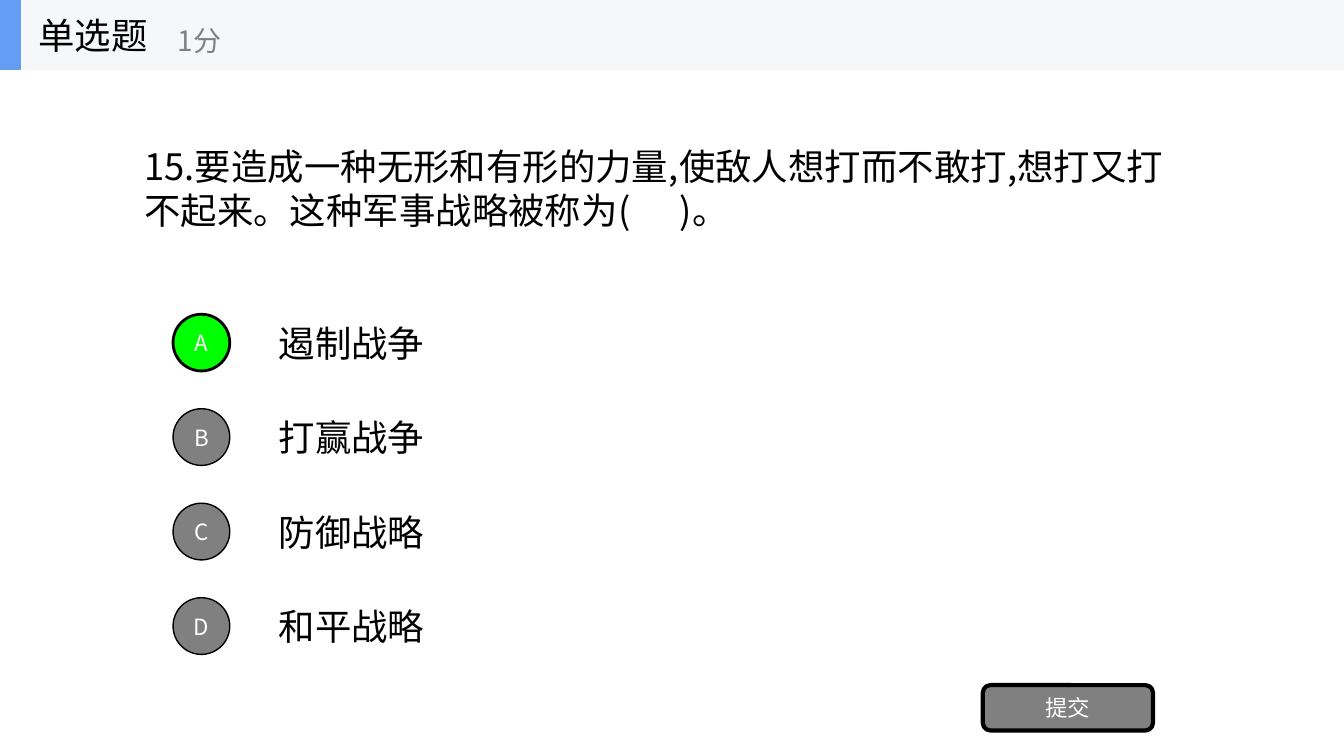
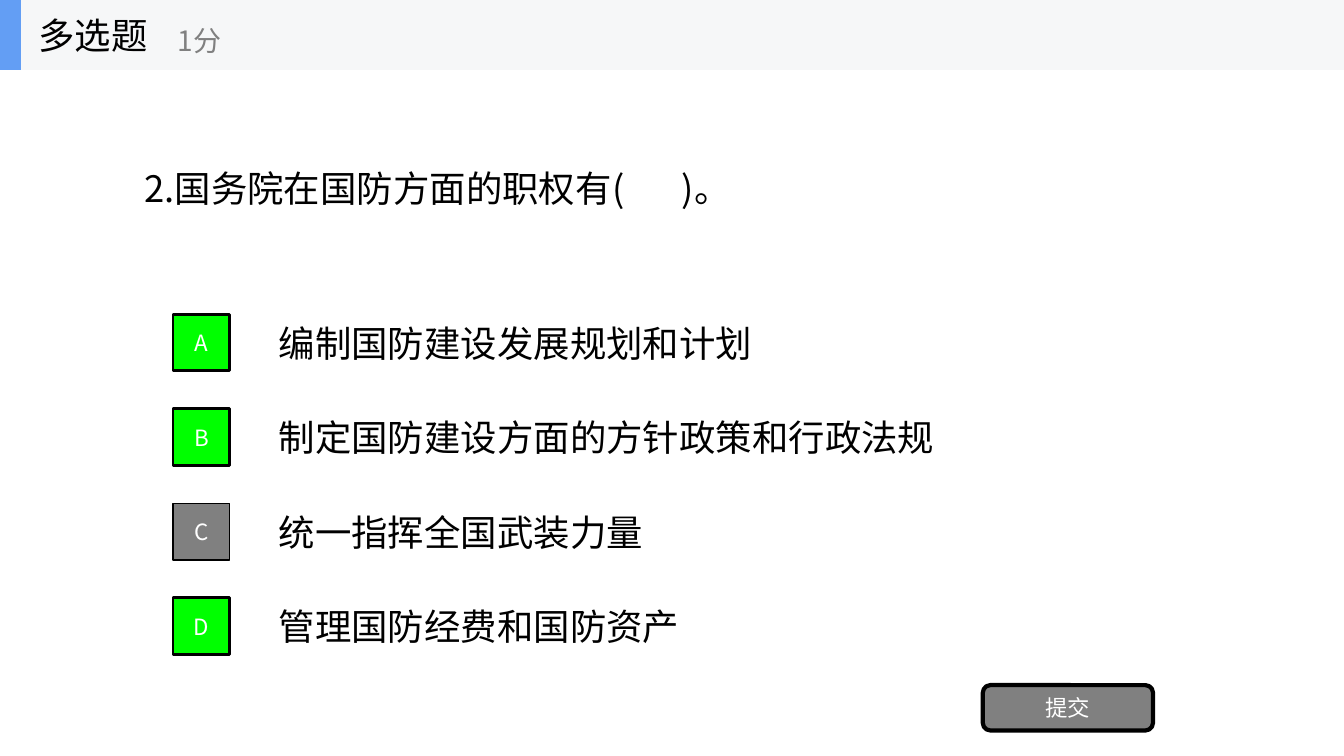
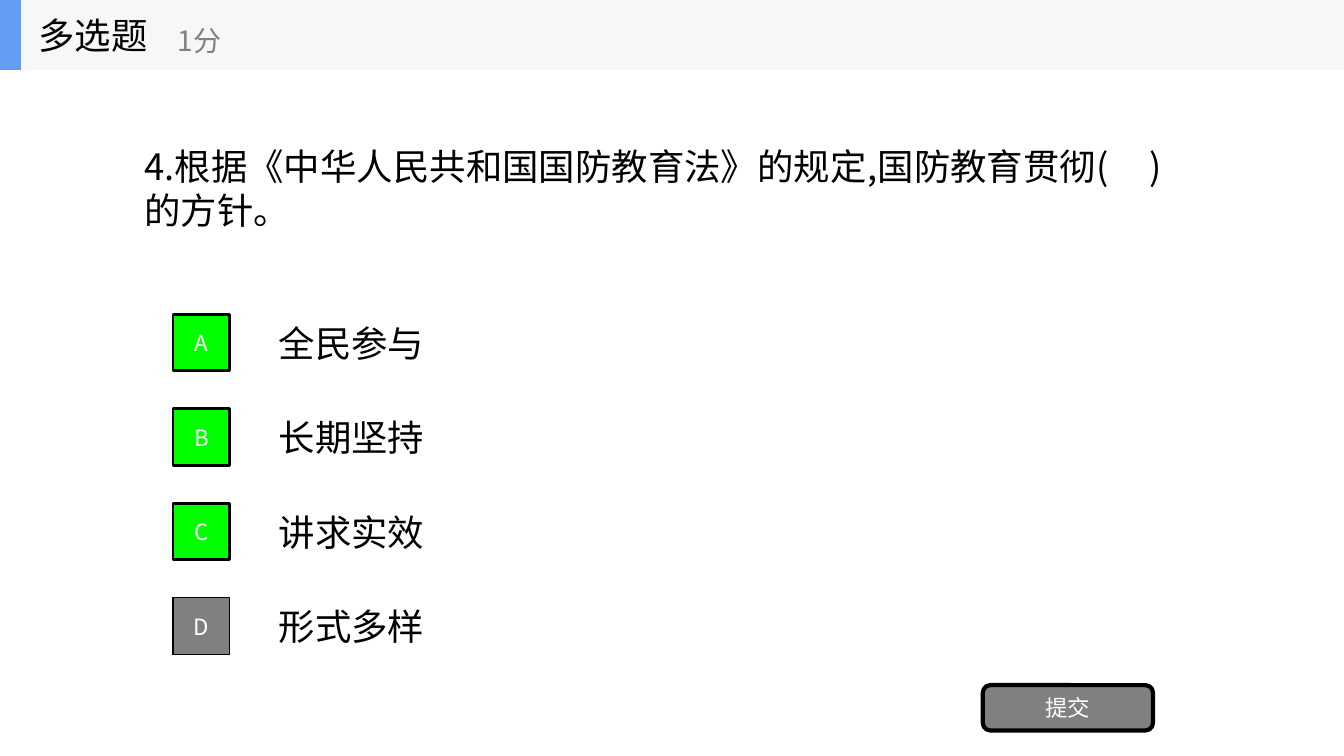
import collections
import dataclasses

import pptx
import pptx.dml.color
import pptx.enum.shapes
import pptx.enum.text
import pptx.util
from lxml import etree
from pptx.oxml import ns

SHAPE = pptx.enum.shapes.MSO_SHAPE
ALIGN = pptx.enum.text.PP_ALIGN
AUTO = pptx.enum.text.MSO_AUTO_SIZE
NBSP = "\u00a0"


@dataclasses.dataclass(frozen=True)
class Theme:
    """Colours, type and grid that all slides share."""
    font: str = "Noto Sans CJK SC"
    ink: str = "000000"
    paper: str = "FFFFFF"
    muted: str = "808080"
    correct: str = "00FF00"
    band: str = "F6F7F8"
    accent: str = "639EF4"
    body: int = 26
    score: int = 20
    label: int = 16
    width: float = 13.33
    height: float = 7.5
    divisions: int = 80  # columns and rows alike


T = Theme()
COL, ROW = T.width / T.divisions, T.height / T.divisions
LINE = 0.44  # height of a line of body text, inches
PAD = 0.09   # extra height of a text box, inches

Box = collections.namedtuple("Box", "left top width height")
Question = collections.namedtuple("Question", "kind badge stem columns lines options correct")


def grid(left, top, width, height):
    """Return the box in inches for a place given in columns and rows."""
    return Box(left * COL, top * ROW, width * COL, height * ROW)


def emu(box):
    """Return the four lengths of a box as Inches."""
    return [pptx.util.Inches(v) for v in box]


def rgb(color):
    """Return a colour object for a hex string."""
    return pptx.dml.color.RGBColor.from_string(color)


def write(sp, content, size=T.body, color=T.ink, align=ALIGN.LEFT, wrap=True, grow=False):
    """Put one formatted, vertically centred paragraph in a shape."""
    tf = sp.text_frame
    tf.word_wrap = wrap
    tf.auto_size = AUTO.SHAPE_TO_FIT_TEXT if grow else AUTO.NONE
    tf.vertical_anchor = pptx.enum.text.MSO_ANCHOR.MIDDLE
    p = tf.paragraphs[0]
    p.alignment = align
    r = p.add_run()
    r.text = content
    r.font.size = pptx.util.Pt(size)
    r.font.color.rgb = rgb(color)
    r.font.name = T.font
    etree.SubElement(r.font._element, ns.qn("a:ea"), typeface=T.font)


def add_text(shapes, box, content, **style):
    """Add a text box."""
    write(shapes.add_textbox(*emu(box)), content, **style)


def add_panel(shapes, kind, box, fill, line=0, label=None):
    """Add a filled shape, with an outline and a centred label if given."""
    sp = shapes.add_shape(kind, *emu(box))
    sp.shadow.inherit = False
    sp.fill.solid()
    sp.fill.fore_color.rgb = rgb(fill)
    if line:
        sp.line.color.rgb = rgb(T.ink)
        sp.line.width = pptx.util.Pt(line)
    else:
        sp.line.fill.background()
    if label:
        write(sp, label, size=T.label, color=T.paper, align=ALIGN.CENTER)


def add_stem(shapes, box, content, lines):
    """Centre the question text on the middle of its box."""
    height = lines * LINE + PAD
    top = box.top + (box.height - height) / 2
    add_text(shapes, box._replace(top=top, height=height), content, grow=True)


def add_option(shapes, box, badge, letter, content, correct):
    """Draw an answer: a lettered badge at the left, its text beside it."""
    side = box.height
    fill, line = (T.correct, 2) if correct else (T.muted, 1)
    height = LINE + PAD
    width = len(content) * T.body / 72 + 0.31
    add_text(shapes, Box(box.left + 5.7 * COL, box.top + (side - height) / 2, width, height),
             content, grow=True)
    add_panel(shapes, badge, box._replace(width=side), fill, line, letter)


def add_header(slide, box, kind):
    """Group the top band, its accent, the question type and the score."""
    shapes = slide.shapes.add_group_shape().shapes
    add_panel(shapes, SHAPE.RECTANGLE, box, T.band)
    add_panel(shapes, SHAPE.RECTANGLE, box._replace(width=1.25 * COL), T.accent)
    add_text(shapes, box._replace(left=box.left + 1.7 * COL, width=12.5 * COL), kind, wrap=False)
    add_text(shapes, Box(box.left + 10 * COL, box.top + 1.3 * ROW, 15 * COL, 6 * ROW),
             "1分", size=T.score, color=T.muted, wrap=False)


def add_question(prs, q):
    """Build one question slide."""
    slide = prs.slides.add_slide(prs.slide_layouts[6])
    shapes = slide.shapes
    add_stem(shapes, grid(8, 14, q.columns, 11.8), q.stem, q.lines)
    for i, (letter, content) in enumerate(zip("ABCD", q.options)):
        add_option(shapes, grid(10.3, 33.25 + 10 * i, 60, 6), q.badge,
                   letter, content, letter in q.correct)
    add_panel(shapes, SHAPE.ROUNDED_RECTANGLE, grid(58.5, 72.5, 10.13, 4.8),
              T.muted, 3, "提交")
    add_header(slide, grid(0, 0, T.divisions, 7.4), q.kind)


QUESTIONS = [
    Question("单选题", SHAPE.OVAL,
             "15.要造成一种无形和有形的力量,使敌人想打而不敢打,想打又打不起来。"
             f"这种军事战略被称为( {NBSP * 4} )。", 63.8, 2,
             ["遏制战争", "打赢战争", "防御战略", "和平战略"], "A"),
    Question("多选题", SHAPE.RECTANGLE,
             f"2.国务院在国防方面的职权有( {NBSP * 5} )。", 37.75, 1,
             ["编制国防建设发展规划和计划", "制定国防建设方面的方针政策和行政法规",
              "统一指挥全国武装力量", "管理国防经费和国防资产"], "ABD"),
    Question("多选题", SHAPE.RECTANGLE,
             "4.根据《中华人民共和国国防教育法》的规定,国防教育贯彻"
             f"({NBSP} {NBSP * 2} )的方针。", 62.35, 2,
             ["全民参与", "长期坚持", "讲求实效", "形式多样"], "ABC"),
]

prs = pptx.Presentation()
prs.slide_width = pptx.util.Inches(T.width)
prs.slide_height = pptx.util.Inches(T.height)
for question in QUESTIONS:
    add_question(prs, question)
prs.save("out.pptx")
